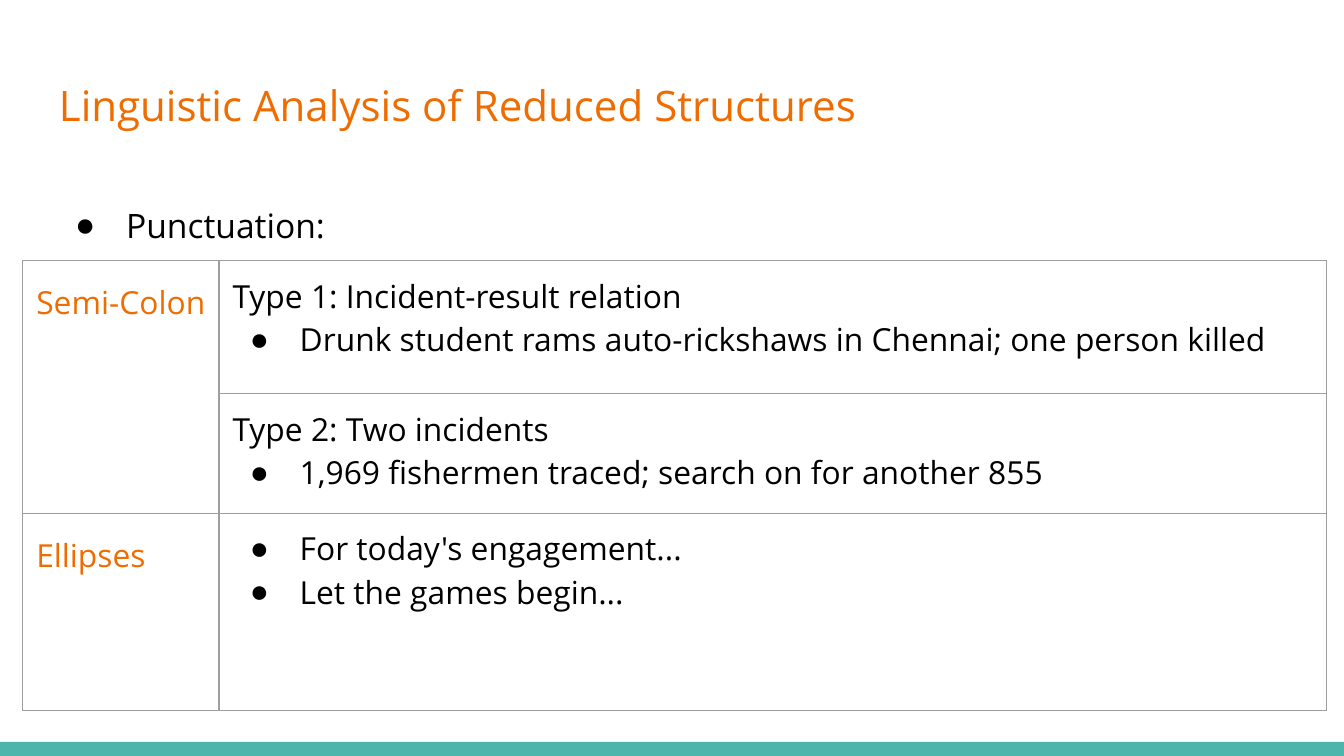
from dataclasses import dataclass

from lxml import etree
from pptx import Presentation
from pptx.dml.color import RGBColor
from pptx.enum.shapes import MSO_SHAPE
from pptx.enum.text import MSO_ANCHOR
from pptx.oxml.ns import qn
from pptx.util import Inches, Pt

RECT = MSO_SHAPE.RECTANGLE
TOP = MSO_ANCHOR.TOP


@dataclass(frozen=True)
class Theme:
    font: str = "Open Sans"
    bullet_font: str = "Arial"
    accent: str = "EF6C00"
    text: str = "000000"
    bar: str = "4DB6AC"
    border: str = "9E9E9E"
    title_size: float = 22.5
    body_size: float = 18
    table_size: float = 17
    border_width: float = 0.75
    inset: float = 0.1
    line_spacing: float = 1.15


class SlideBuilder:
    def __init__(self, slide, theme):
        self.s = slide
        self.theme = theme

    def bar(self, x, y, w, h):
        sp = self.s.shapes.add_shape(RECT, Inches(x), Inches(y), Inches(w), Inches(h))
        sp.shadow.inherit = False
        sp.fill.solid()
        sp.fill.fore_color.rgb = RGBColor.from_string(self.theme.bar)
        sp.line.fill.background()

    def inset(self, box):
        box.margin_left = box.margin_right = Inches(self.theme.inset)
        box.margin_top = box.margin_bottom = Inches(self.theme.inset)
        box.vertical_anchor = TOP

    def bullet(self, p, hanging):
        pPr = p._p.get_or_add_pPr()
        pPr.set("marL", str(Inches(0.5)))
        pPr.set("indent", str(-Inches(hanging)))
        color = etree.SubElement(pPr, qn("a:buClr"))
        etree.SubElement(color, qn("a:srgbClr"), val=self.theme.text)
        etree.SubElement(pPr, qn("a:buFont"), typeface=self.theme.bullet_font)
        etree.SubElement(pPr, qn("a:buChar"), char="●")

    def paragraph(self, p, text, size, color, hanging=None, spacing=None, after=None):
        p.text = text
        if hanging:
            self.bullet(p, hanging)
        if spacing:
            p.line_spacing = spacing
        if after:
            p.space_after = Pt(after)
        for r in p.runs:
            r.font.name = self.theme.font
            r.font.size = Pt(size)
            r.font.color.rgb = RGBColor.from_string(color)

    def text(self, x, y, w, h, text, size, color, **style):
        sp = self.s.shapes.add_textbox(Inches(x), Inches(y), Inches(w), Inches(h))
        tf = sp.text_frame
        tf.word_wrap = True
        self.inset(tf)
        self.paragraph(tf.paragraphs[0], text, size, color, **style)

    def borders(self, cell):
        tcPr = cell._tc.get_or_add_tcPr()
        for side in ("lnL", "lnR", "lnT", "lnB"):
            ln = etree.SubElement(tcPr, qn(f"a:{side}"), w=str(Pt(self.theme.border_width)))
            fill = etree.SubElement(ln, qn("a:solidFill"))
            etree.SubElement(fill, qn("a:srgbClr"), val=self.theme.border)

    def table(self, x, y, cols, rows):
        frame = self.s.shapes.add_table(len(rows), len(cols), Inches(x), Inches(y),
                                        Inches(sum(cols)), Inches(sum(rows)))
        table = frame.table
        table.first_row = table.horz_banding = False
        for col, width in zip(table.columns, cols):
            col.width = Inches(width)
        for row, height in zip(table.rows, rows):
            row.height = Inches(height)
        for cell in table.iter_cells():
            self.inset(cell)
            self.borders(cell)
            cell.fill.background()
        return table

    def label_cell(self, cell, label):
        t = self.theme
        self.paragraph(cell.text_frame.paragraphs[0], label, t.table_size, t.accent,
                       spacing=t.line_spacing, after=16)

    def example_cell(self, cell, heading, examples):
        t, tf = self.theme, cell.text_frame
        lines = [(heading, None)] if heading else []
        lines += [(example, 0.37) for example in examples]
        for i, (line, hanging) in enumerate(lines):
            p = tf.add_paragraph() if i else tf.paragraphs[0]
            self.paragraph(p, line, t.table_size, t.text, hanging=hanging)


LABELS = {0: "Semi-Colon", 2: "Ellipses"}
EXAMPLES = [
    ("Type 1: Incident-result relation",
     ["Drunk student rams auto-rickshaws in Chennai; one person killed"]),
    ("Type 2: Two incidents",
     ["1,969 fishermen traced; search on for another 855"]),
    (None, ["For today's engagement...", "Let the games begin..."]),
]


def main():
    prs = Presentation()
    prs.slide_width = Inches(10)
    prs.slide_height = Inches(10 * 9 / 16)
    theme = Theme()
    slide = SlideBuilder(prs.slides.add_slide(prs.slide_layouts[6]), theme)

    # Footer bar
    slide.bar(0, 5.52, 10, 0.11)

    # Title and topic
    slide.text(0.34, 0.49, 9.32, 0.77, "Linguistic Analysis of Reduced Structures",
               theme.title_size, theme.accent)
    slide.text(0.34, 1.38, 9.32, 3.61, "Punctuation:", theme.body_size, theme.text,
               hanging=0.38, spacing=theme.line_spacing)

    # Punctuation table
    table = slide.table(0.17, 1.94, cols=[1.46, 8.24], rows=[0.99, 0.89, 1.47])
    table.cell(0, 0).merge(table.cell(1, 0))
    for row, label in LABELS.items():
        slide.label_cell(table.cell(row, 0), label)
    for row, (heading, examples) in enumerate(EXAMPLES):
        slide.example_cell(table.cell(row, 1), heading, examples)

    prs.save("out.pptx")


if __name__ == "__main__":
    main()
